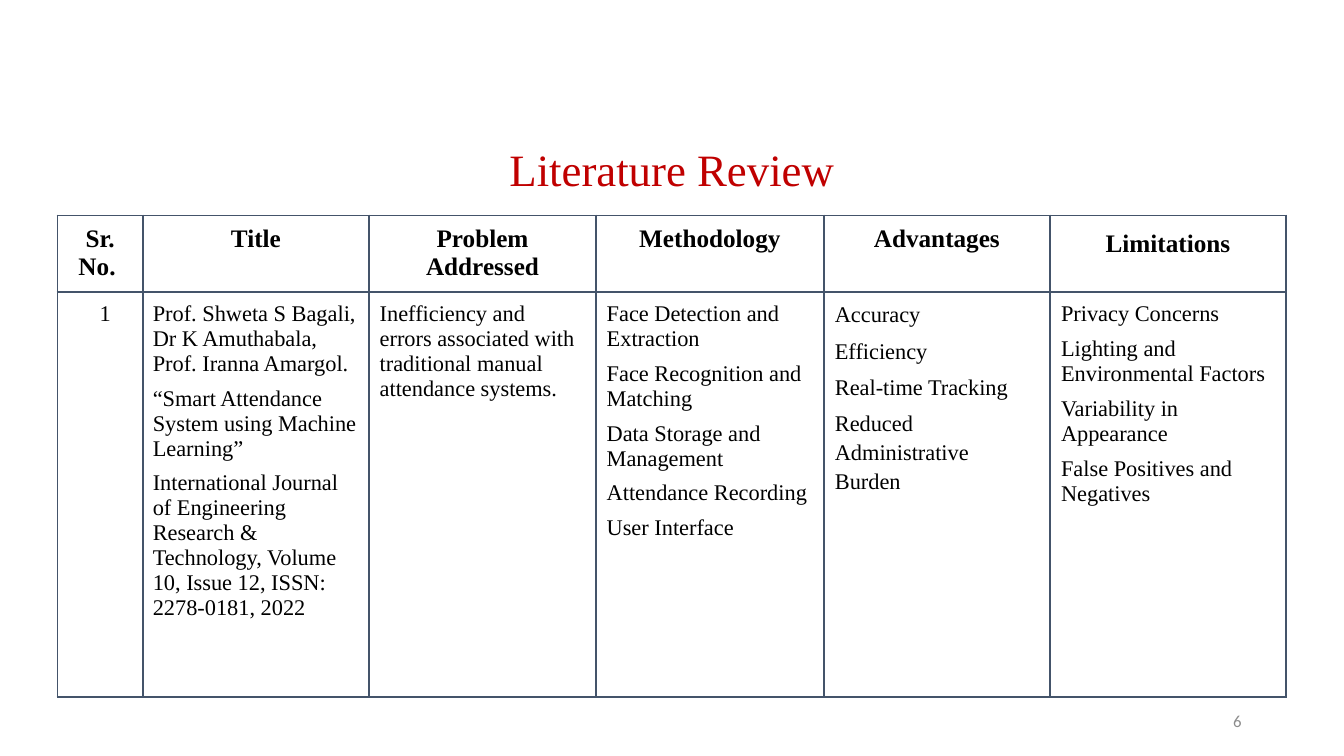
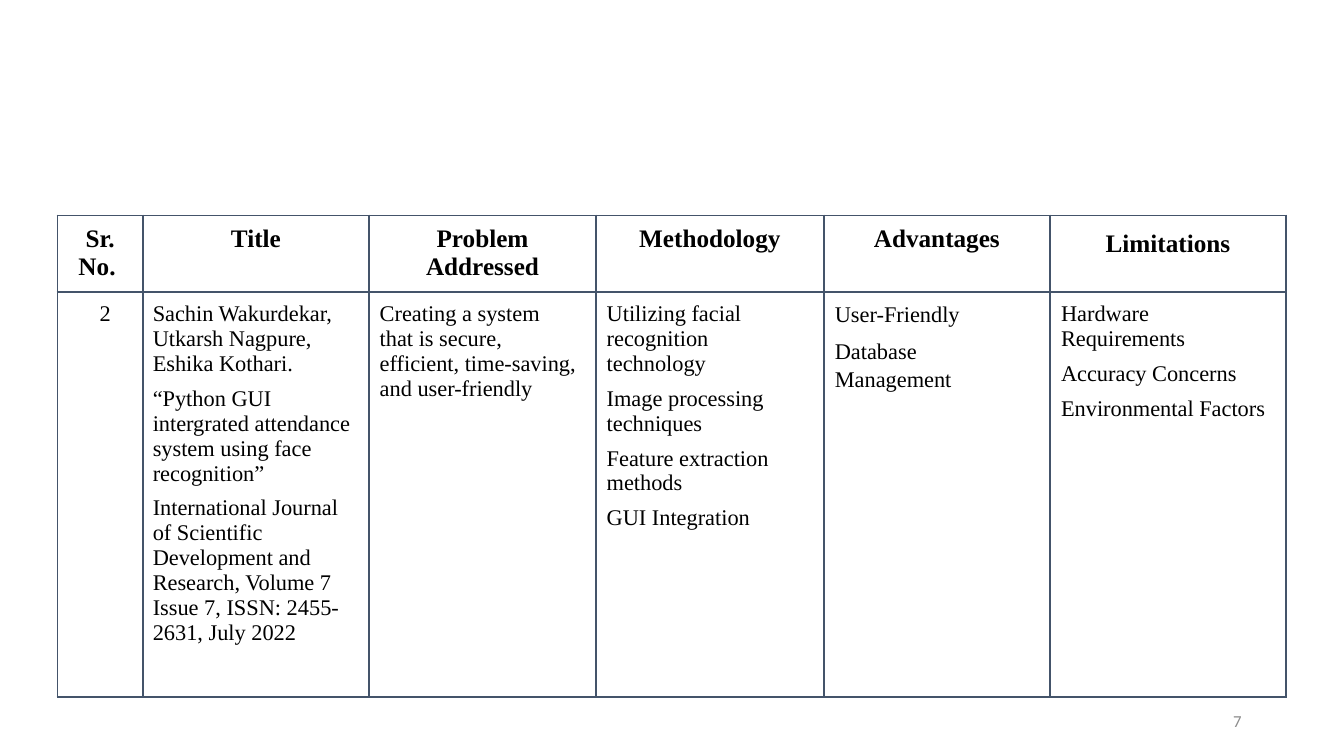
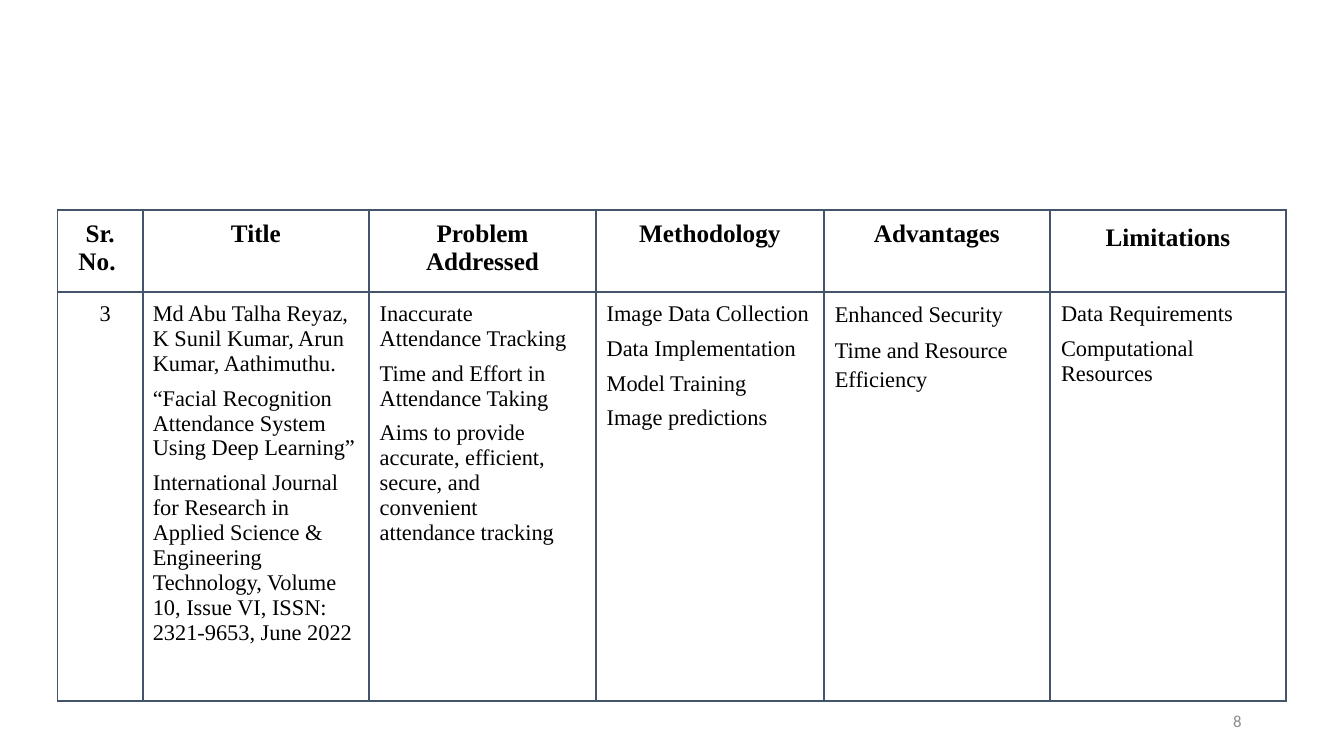
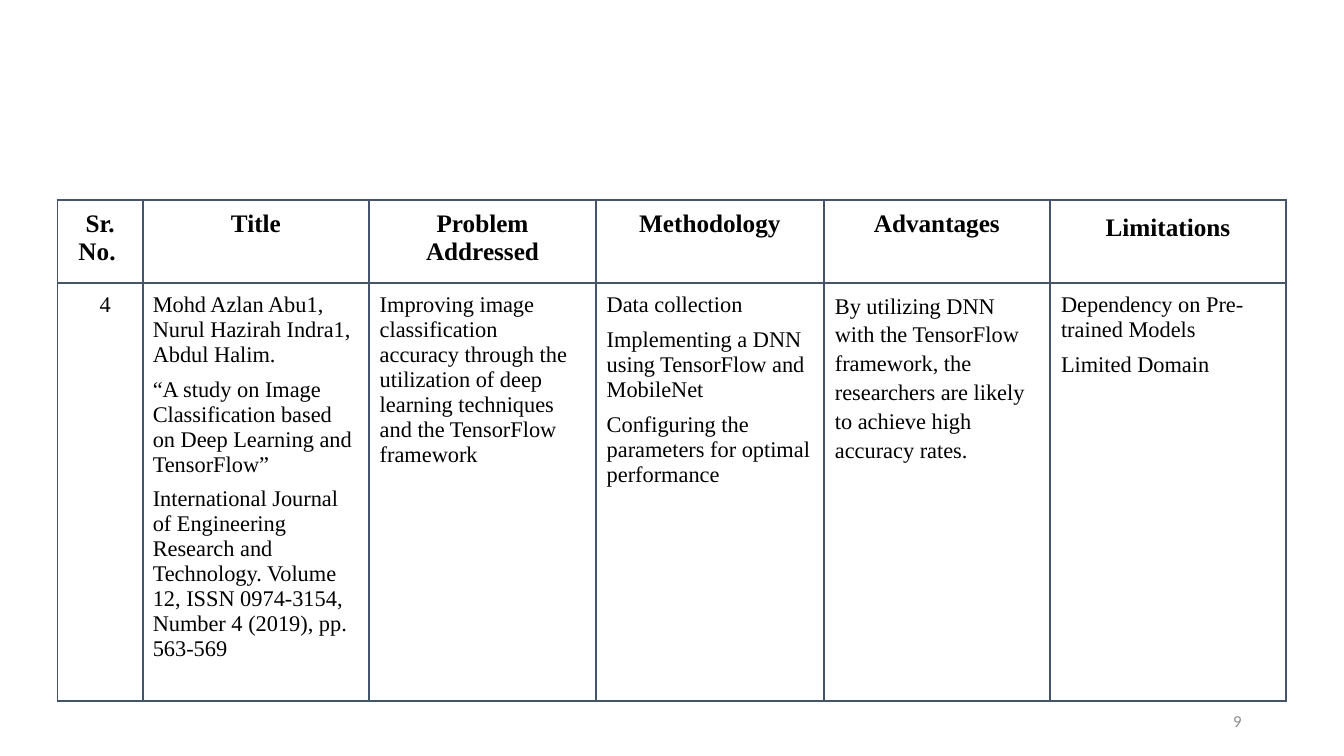
from lxml import etree
from pptx import Presentation
from pptx.dml.color import RGBColor
from pptx.enum.text import MSO_ANCHOR, PP_ALIGN
from pptx.oxml.ns import qn
from pptx.util import Cm, Pt

LEFT, CENTER, RIGHT = PP_ALIGN.LEFT, PP_ALIGN.CENTER, PP_ALIGN.RIGHT
MIDDLE = MSO_ANCHOR.MIDDLE

RED = RGBColor(0xC0, 0x00, 0x00)
BLACK = RGBColor(0x00, 0x00, 0x00)
WHITE = RGBColor(0xFF, 0xFF, 0xFF)
GREY = RGBColor(0x8C, 0x8C, 0x8C)
SLATE = RGBColor(0x44, 0x54, 0x6A)

SERIF, SANS = "Times New Roman", "Calibri"
TITLE_FONT = {"name": SERIF, "size": Pt(32), "color": RED}
NUMBER_FONT = {"name": SANS, "size": Pt(12), "color": GREY}
HEADING_FONT = {"name": SERIF, "size": Pt(18), "bold": True, "color": BLACK}
ENTRY_FONT = {"name": SERIF, "size": Pt(16), "bold": False, "color": BLACK}

TITLE_BOX = (2.33, 3.15, 29.21, 2.36)
NUMBER_BOX = (23.92, 17.65, 7.62, 1.02)
TABLE_LEFT = 1.45
COLUMN_WIDTHS = (2.15, 5.7, 5.72, 5.74, 5.7, 5.95)
BORDER_WIDTH = Pt(1.5)

HEADINGS = ("Sr. No. ", "Title", "Problem Addressed", "Methodology",
            "Advantages", "Limitations")
HEADING_LAYOUTS = [{"alignment": CENTER}] * 5 + [
    {"alignment": CENTER, "line_spacing": 1.15}]
HEADING_MARGINS = (0.25, 0.25, 0.25, 0.15)
INDENT_ATTRIBUTES = {"indent_left": "marL", "indent_right": "marR"}
ENTRY_LAYOUTS = (
    {"alignment": CENTER, "space_before": Pt(7.1), "indent_left": 0.25},
    {"alignment": LEFT, "line_spacing": 1.0, "space_before": Pt(7.1),
     "indent_left": 0.25, "indent_right": 0.28},
    {"alignment": LEFT, "line_spacing": 1.0, "space_before": Pt(7),
     "indent_left": 0.27, "indent_right": 0.5},
    {"alignment": LEFT, "space_before": Pt(7.1),
     "indent_left": 0.27, "indent_right": 0.31},
    {"alignment": LEFT, "line_spacing": 1.16, "space_before": Pt(5.2),
     "indent_left": 0.28, "indent_right": 0.45},
    {"alignment": LEFT, "line_spacing": 1.0, "space_before": Pt(7.2),
     "indent_left": 0.28, "indent_right": 0.36},
)
ENTRY_TOP_MARGINS = (0.25, 0.25, 0.25, 0.25, 0.18, 0.25)

REVIEWS = (
    {
        "number": "6",
        "title": "Literature Review",
        "top": 5.43,
        "heights": (1.92, 10.21),
        "entries": (
            ["1"],
            ["Prof. Shweta S Bagali, Dr K Amuthabala, Prof. Iranna Amargol.",
             "“Smart Attendance System using Machine Learning”",
             "International Journal of Engineering Research & Technology, "
             "Volume 10, Issue 12, ISSN: 2278-0181, 2022"],
            ["Inefficiency and errors associated with traditional manual "
             "attendance systems."],
            ["Face Detection and Extraction", "Face Recognition and Matching",
             "Data Storage and Management", "Attendance Recording",
             "User Interface"],
            ["Accuracy", "Efficiency", "Real-time Tracking",
             "Reduced Administrative Burden"],
            ["Privacy Concerns", "Lighting and Environmental Factors",
             "Variability in Appearance", "False Positives and Negatives"],
        ),
    },
    {
        "number": "7",
        "top": 5.43,
        "heights": (1.92, 10.21),
        "entries": (
            ["2"],
            ["Sachin Wakurdekar, Utkarsh Nagpure, Eshika Kothari.",
             "“Python GUI intergrated attendance system using face recognition”",
             "International Journal of Scientific Development and Research, "
             "Volume 7 Issue 7, ISSN: 2455-2631, July 2022"],
            ["Creating a system that is secure, efficient, time-saving, and "
             "user-friendly"],
            ["Utilizing facial recognition technology",
             "Image processing techniques", "Feature extraction methods",
             "GUI Integration"],
            ["User-Friendly", "Database Management"],
            ["Hardware Requirements", "Accuracy Concerns",
             "Environmental Factors"],
        ),
    },
    {
        "number": "8",
        "top": 5.3,
        "heights": (2.05, 10.31),
        "entries": (
            ["3"],
            ["Md Abu Talha Reyaz, K Sunil Kumar, Arun Kumar, Aathimuthu.",
             "“Facial Recognition Attendance System Using Deep Learning”",
             "International Journal for Research in Applied Science & "
             "Engineering Technology, Volume 10, Issue VI, ISSN: 2321-9653, "
             "June 2022"],
            ["Inaccurate Attendance Tracking",
             "Time and Effort in Attendance Taking",
             "Aims to provide accurate, efficient, secure, and convenient "
             "attendance tracking"],
            ["Image Data Collection", "Data Implementation", "Model Training",
             "Image predictions"],
            ["Enhanced Security", "Time and Resource Efficiency"],
            ["Data Requirements", "Computational Resources"],
        ),
    },
    {
        "number": "9",
        "top": 5.04,
        "heights": (2.09, 10.53),
        "entries": (
            ["4"],
            ["Mohd Azlan Abu1, Nurul Hazirah Indra1, Abdul Halim.",
             "“A study on Image Classification based on Deep Learning and "
             "TensorFlow”",
             "International Journal of Engineering Research and Technology. "
             "Volume 12, ISSN 0974-3154, Number 4 (2019), pp. 563-569"],
            ["Improving image classification accuracy through the utilization "
             "of deep learning techniques and the TensorFlow framework"],
            ["Data collection",
             "Implementing a DNN using TensorFlow and MobileNet",
             "Configuring the parameters for optimal performance"],
            ["By utilizing DNN with the TensorFlow framework, the researchers "
             "are likely to achieve high accuracy rates."],
            ["Dependency on Pre-trained Models", "Limited Domain"],
        ),
    },
)


def write_paragraphs(frame, lines, font, layout):
    """Fill a text frame with one formatted paragraph per line."""
    for index, line in enumerate(lines):
        paragraph = frame.add_paragraph() if index else frame.paragraphs[0]
        run = paragraph.add_run()
        run.text = line
        for key, value in font.items():
            if key == "color":
                run.font.color.rgb = value
            else:
                setattr(run.font, key, value)
        for key, value in layout.items():
            if key in INDENT_ATTRIBUTES:
                properties = paragraph._p.get_or_add_pPr()
                properties.set(INDENT_ATTRIBUTES[key], str(Cm(value)))
            else:
                setattr(paragraph, key, value)


def add_label(slide, box, line, font, layout):
    """Place a single vertically centred line of text in a box."""
    frame = slide.shapes.add_textbox(*map(Cm, box)).text_frame
    frame.word_wrap = True
    frame.vertical_anchor = MIDDLE
    write_paragraphs(frame, [line], font, layout)


def add_borders(cell):
    """Draw a slate line on all four sides of a cell."""
    properties = cell._tc.get_or_add_tcPr()
    for index, side in enumerate(("a:lnL", "a:lnR", "a:lnT", "a:lnB")):
        line = etree.Element(qn(side), w=str(BORDER_WIDTH))
        fill = etree.SubElement(line, qn("a:solidFill"))
        etree.SubElement(fill, qn("a:srgbClr"), val=str(SLATE))
        properties.insert(index, line)


def fill_cell(cell, lines, font, layout, margins):
    """Write a bordered white cell, margins given as left, top, right, bottom."""
    for side, margin in zip(("left", "top", "right", "bottom"), margins):
        setattr(cell, f"margin_{side}", Cm(margin))
    cell.fill.solid()
    cell.fill.fore_color.rgb = WHITE
    add_borders(cell)
    write_paragraphs(cell.text_frame, lines, font, layout)


def add_review_table(slide, left, top, heights, entries):
    """Place the heading row and the reviewed paper below it."""
    box = (left, top, sum(COLUMN_WIDTHS), sum(heights))
    table = slide.shapes.add_table(2, len(HEADINGS), *map(Cm, box)).table
    table.first_row = table.horz_banding = False
    for row, height in zip(table.rows, heights):
        row.height = Cm(height)
    for index, width in enumerate(COLUMN_WIDTHS):
        table.columns[index].width = Cm(width)
        fill_cell(table.cell(0, index), [HEADINGS[index]], HEADING_FONT,
                  HEADING_LAYOUTS[index], HEADING_MARGINS)
        fill_cell(table.cell(1, index), entries[index], ENTRY_FONT,
                  ENTRY_LAYOUTS[index], (0, ENTRY_TOP_MARGINS[index], 0, 0))


def add_review_slide(deck, review):
    """Build one literature review slide."""
    slide = deck.slides.add_slide(deck.slide_layouts[6])
    if "title" in review:
        add_label(slide, TITLE_BOX, review["title"], TITLE_FONT,
                  {"alignment": CENTER, "line_spacing": 0.9})
    add_label(slide, NUMBER_BOX, review["number"], NUMBER_FONT,
              {"alignment": RIGHT})
    add_review_table(slide, TABLE_LEFT, review["top"], review["heights"],
                     review["entries"])


def main():
    """Build and save the deck."""
    deck = Presentation()
    deck.slide_width, deck.slide_height = Cm(33.87), Cm(19.05)
    for review in REVIEWS:
        add_review_slide(deck, review)
    deck.save("out.pptx")


if __name__ == "__main__":
    main()
